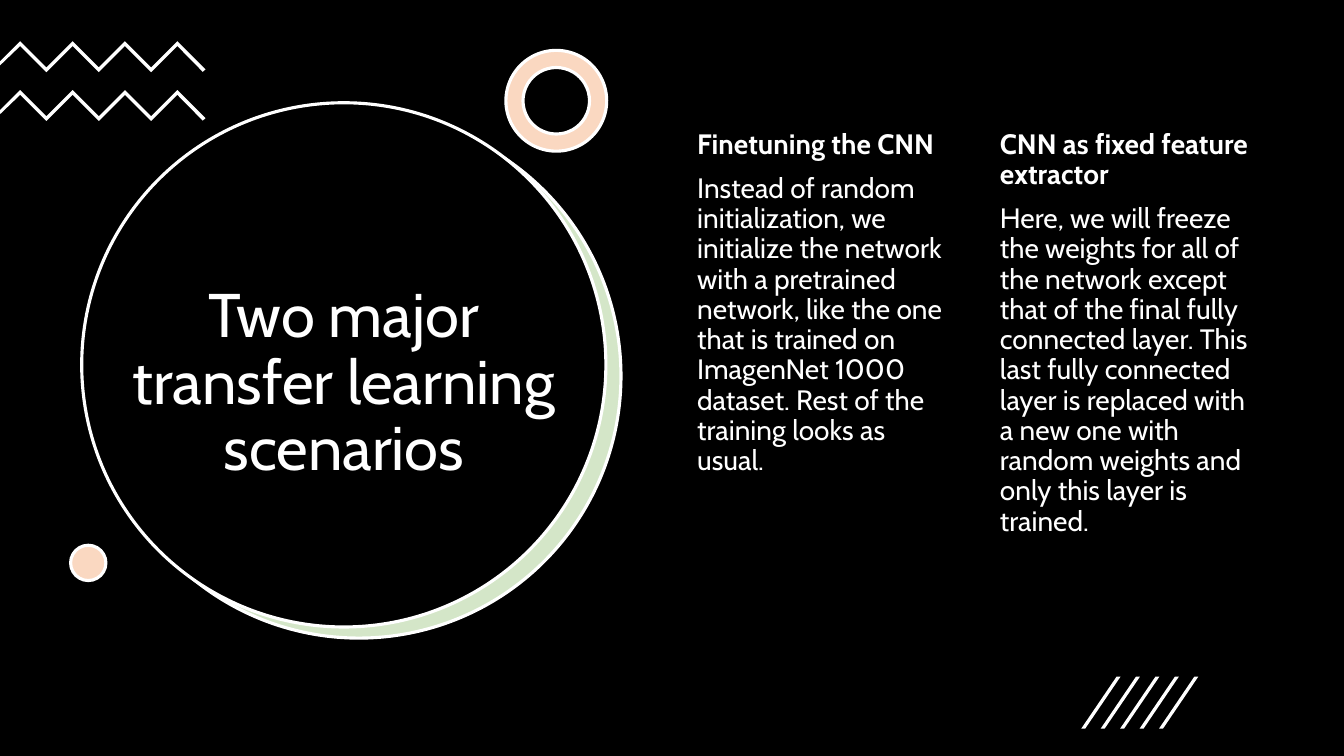
from dataclasses import dataclass

from pptx import Presentation
from pptx.dml.color import RGBColor
from pptx.enum.shapes import MSO_SHAPE
from pptx.enum.text import MSO_ANCHOR, PP_ALIGN
from pptx.util import Cm, Pt

OVAL, RING = MSO_SHAPE.OVAL, MSO_SHAPE.DONUT
TOP, MIDDLE = MSO_ANCHOR.TOP, MSO_ANCHOR.MIDDLE
LEFT, CENTER = PP_ALIGN.LEFT, PP_ALIGN.CENTER


@dataclass(frozen=True)
class Theme:
    black: RGBColor = RGBColor.from_string("000000")
    white: RGBColor = RGBColor.from_string("FFFFFF")
    green: RGBColor = RGBColor.from_string("D4E6C8")
    peach: RGBColor = RGBColor.from_string("FAD8C1")
    font: str = "Cabin"
    title: int = 44
    body: int = 20
    line: float = 2.25


theme = Theme()
deck = Presentation()
deck.slide_width, deck.slide_height = Cm(33.87), Cm(19.05)
slide = deck.slides.add_slide(deck.slide_layouts[6])
shapes = slide.shapes
slide.background.fill.solid()
slide.background.fill.fore_color.rgb = theme.black


def write(box, text, size=theme.body, bold=False, align=LEFT, anchor=TOP, gap=0):
    frame = box.text_frame
    frame.word_wrap = True
    frame.vertical_anchor = anchor
    para = frame.add_paragraph() if frame.text else frame.paragraphs[0]
    para.alignment = align
    para.line_spacing = 0.9
    para.space_before = Pt(gap)
    run = para.add_run()
    run.text = text
    run.font.name = theme.font
    run.font.size = Pt(size)
    run.font.bold = bold
    run.font.color.rgb = theme.white


def outline(points):
    points = [(Cm(x), Cm(y)) for x, y in points]
    pen = shapes.build_freeform(*points[0])
    pen.add_line_segments(points[1:], close=True)
    shape = pen.convert_to_shape()
    shape.shadow.inherit = False
    shape.fill.solid()
    shape.fill.fore_color.rgb = theme.white
    shape.line.fill.background()


# Large disc with its crescent, small ring and dot
rounds = [
    (OVAL, 2.44, 2.87, 13.21, theme.green),
    (OVAL, 2.06, 2.59, 13.21, theme.black),
    (RING, 12.75, 1.27, 2.54, theme.peach),
    (OVAL, 1.78, 13.74, 0.89, theme.peach),
]
for kind, x, y, size, color in rounds:
    disc = shapes.add_shape(kind, Cm(x), Cm(y), Cm(size), Cm(size))
    disc.shadow.inherit = False
    disc.fill.solid()
    disc.fill.fore_color.rgb = color
    disc.line.color.rgb = theme.white
    disc.line.width = Pt(theme.line)
    if kind == RING:
        disc.adjustments[0] = 0.17

# Zigzag bands at the left edge
step, thick = 0.66, 0.12
for y in (1.04, 2.27):
    peaks = [(0.51 + step * i, y + step * (i % 2)) for i in range(7)]
    under = [(x, top + thick) for x, top in reversed(peaks)]
    tip = [(5.18, y + 0.71), (5.11, y + 0.77)]
    outline(peaks + tip + under + [(0, y + 0.61), (0, y + 0.51)])

# Slanted strokes at the lower right
for i in range(5):
    x = 27.25 + 0.49 * i
    outline([(x + 0.1, 18.36), (x, 18.36), (x + 0.89, 17.05), (x + 0.99, 17.05)])

# Title
title = shapes.add_textbox(Cm(3.07), Cm(5.21), Cm(11.2), Cm(8.94))
write(title, "Two major transfer learning scenarios", size=theme.title,
      align=CENTER, anchor=MIDDLE)

# Two columns of text
columns = [
    ("Finetuning the CNN",
     "Instead of random initialization, we initialize the network with a "
     "pretrained network, like the one that is trained on ImagenNet 1000 "
     "dataset. Rest of the training looks as usual."),
    ("CNN as fixed feature extractor",
     "Here, we will freeze the weights for all of the network except that of "
     "the final fully connected layer. This last fully connected layer is "
     "replaced with a new one with random weights and only this layer is "
     "trained."),
]
for i, (head, body) in enumerate(columns):
    box = shapes.add_textbox(Cm(17.32 + 7.63 * i), Cm(3.15), Cm(6.87), Cm(12.09))
    write(box, head, bold=True)
    write(box, body, gap=10)

deck.save("out.pptx")
